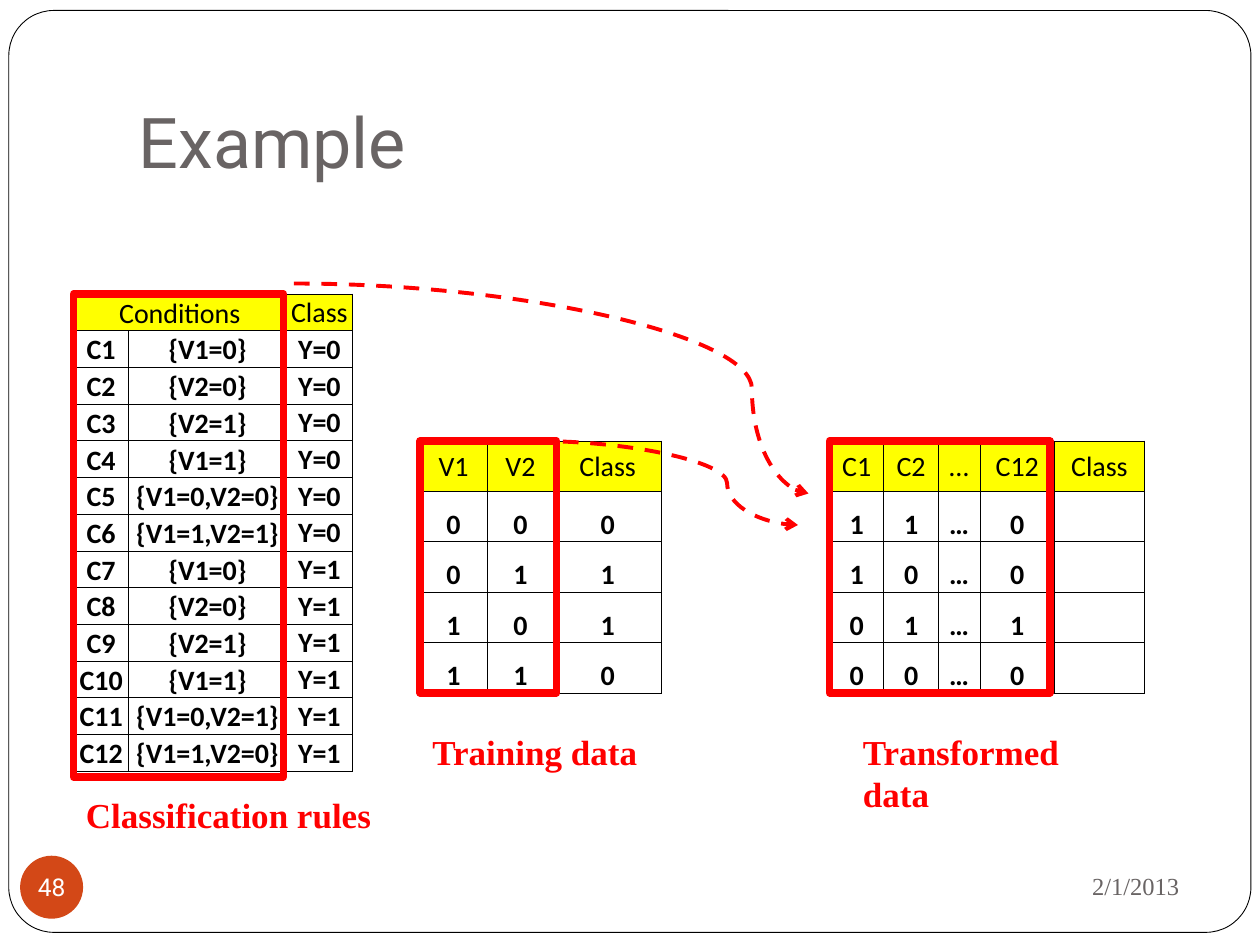
import pptx
import pptx.util
import pptx.dml.color
import pptx.enum.dml
import pptx.enum.shapes
import pptx.enum.text
import pptx.oxml
import pptx.oxml.ns
import lxml.etree

SHAPE = pptx.enum.shapes.MSO_SHAPE
ALIGN = pptx.enum.text.PP_ALIGN
ANCHOR = pptx.enum.text.MSO_ANCHOR
COLS, ROWS = 120, 90
RED, GREY, BLACK = "FF0000", "696464", "000000"
SERIF = "Times New Roman"

prs = pptx.Presentation()
prs.slide_width = pptx.util.Inches(10)
prs.slide_height = pptx.util.Inches(7.5)


def grid(*box):
    """Turn alternating columns and rows of the slide grid into lengths."""
    units = (prs.slide_width / COLS, prs.slide_height / ROWS)
    return [pptx.util.Emu(round(n * units[i % 2])) for i, n in enumerate(box)]


def rgb(color):
    """Return the colour for a hex string."""
    return pptx.dml.color.RGBColor.from_string(color)


def add_xml(parent, tag, **attrs):
    """Append a drawing element to a parent and return it."""
    return lxml.etree.SubElement(parent, pptx.oxml.ns.qn(tag), attrs)


def write(tf, text, size=16, font="Calibri", color=BLACK, bold=False,
          align=ALIGN.LEFT, anchor=None, insets=None):
    """Write one formatted paragraph into a text frame."""
    p = tf.paragraphs[0]
    p.alignment = align
    r = p.add_run()
    r.text = text
    r.font.size = pptx.util.Pt(size)
    r.font.name = font
    r.font.bold = bold
    r.font.color.rgb = rgb(color)
    if anchor is not None:
        tf.vertical_anchor = anchor
    if insets:
        tf.margin_left, tf.margin_top, tf.margin_right, tf.margin_bottom = (
            pptx.util.Inches(n) for n in insets)


def shape(s, kind, box, fill=None, line=None, width=0.5):
    """Add a flat preset shape."""
    sp = s.shapes.add_shape(kind, *grid(*box))
    sp.shadow.inherit = False
    if fill:
        sp.fill.solid()
        sp.fill.fore_color.rgb = rgb(fill)
    else:
        sp.fill.background()
    if line:
        sp.line.color.rgb = rgb(line)
        sp.line.width = pptx.util.Pt(width)
    else:
        sp.line.fill.background()
    return sp


def text_box(s, box, text, **fmt):
    """Add a wrapping text box."""
    tf = s.shapes.add_textbox(*grid(*box)).text_frame
    tf.word_wrap = True
    write(tf, text, **fmt)


def style_cell(cell, text, header, anchor):
    """Give a table cell its borders, fill and text."""
    tcPr = cell._tc.get_or_add_tcPr()
    for side in ("a:lnL", "a:lnR", "a:lnT", "a:lnB"):
        ln = add_xml(tcPr, side, w=str(pptx.util.Pt(0.5)))
        add_xml(add_xml(ln, "a:solidFill"), "a:srgbClr", val=BLACK)
    if header:
        cell.fill.solid()
        cell.fill.fore_color.rgb = rgb("FFFF00")
    else:
        cell.fill.background()
    cell.margin_left = cell.margin_top = cell.margin_right = pptx.util.Inches(0.01)
    cell.margin_bottom = 0
    cell.vertical_anchor = anchor
    if text:
        write(cell.text_frame, text, bold=not header, align=ALIGN.CENTER)


def data_table(s, box, widths, rows, middle=()):
    """Fill a box with a table; None in a row joins a cell to its left one."""
    left, top, width, height = grid(*box)
    gf = s.shapes.add_table(len(rows), len(widths), left, top, width, height)
    table = gf.table
    table.first_row = table.horz_banding = False
    for column, share in zip(table.columns, widths):
        column.width = round(width * share / sum(widths))
    for y, row in enumerate(rows):
        table.rows[y].height = round(height / len(rows))
        for x, text in enumerate(row):
            centred = x in middle or (y == 0 and None not in row)
            style_cell(table.cell(y, x), text, y == 0,
                       ANCHOR.MIDDLE if centred else ANCHOR.BOTTOM)
            if text is None:
                table.cell(y, x - 1).merge(table.cell(y, x))


def curve(s, ends, bend):
    """Add a dashed red curved arrow that turns at a share of its width."""
    c = s.shapes.add_connector(pptx.enum.shapes.MSO_CONNECTOR.CURVE, *grid(*ends))
    c.line.color.rgb = rgb(RED)
    c.line.width = pptx.util.Pt(2.25)
    c.line.dash_style = pptx.enum.dml.MSO_LINE.DASH
    spPr = c._element.spPr
    add_xml(spPr.find(pptx.oxml.ns.qn("a:ln")), "a:tailEnd", type="arrow")
    add_xml(spPr, "a:effectLst")
    geom = spPr.find(pptx.oxml.ns.qn("a:prstGeom"))
    for old in list(geom):
        geom.remove(old)
    add_xml(add_xml(geom, "a:avLst"), "a:gd", name="adj1",
            fmla=f"val {round(bend * 100000)}")


def page(s, title, date, number):
    """Place the page border, title, date and page number."""
    border = shape(s, SHAPE.ROUNDED_RECTANGLE, (0.84, 1, 118.3, 87.8), "FFFFFF", BLACK)
    border.adjustments[0] = 0.049
    s.shapes._spTree.insert(2, border._element)
    sp = s.shapes.title
    sp.left, sp.top, sp.width, sp.height = grid(12, 3.6, 102, 15)
    write(sp.text_frame, title, size=40, font="Roboto", color=GREY,
          anchor=ANCHOR.BOTTOM, insets=(0.1, 0.05, 0.1, 0.1))
    sp.text_frame.auto_size = pptx.enum.text.MSO_AUTO_SIZE.NONE
    text_box(s, (81, 81.25, 32.5, 6.25), date, size=14, font=SERIF, color=GREY,
             align=ALIGN.RIGHT, anchor=ANCHOR.MIDDLE)
    badge = shape(s, SHAPE.OVAL, (1.92, 81.5, 6, 6), "D34817")
    badge.text_frame.word_wrap = False
    write(badge.text_frame, number, size=14, font="Roboto", color="FFFFFF",
          align=ALIGN.CENTER, anchor=ANCHOR.MIDDLE, insets=(0, 0, 0, 0))


conditions = ["{V1=0}", "{V2=0}", "{V2=1}", "{V1=1}", "{V1=0,V2=0}", "{V1=1,V2=1}",
              "{V1=0}", "{V2=0}", "{V2=1}", "{V1=1}", "{V1=0,V2=1}", "{V1=1,V2=0}"]
rules = [("Conditions", None, "Class")] + [
    (f"C{i}", text, "Y=0" if i <= 6 else "Y=1")
    for i, text in enumerate(conditions, 1)]
training = [("V1", "V2", "Class"), *map(tuple, ("000", "011", "101", "110"))]
transformed = [("C1", "C2", "…", "C12", "Class")] + [
    (a, b, "…", c, "") for a, b, c in ("110", "100", "011", "000")]

s = prs.slides.add_slide(prs.slide_layouts[5])
page(s, "Example", "2/1/2013", "48")
data_table(s, (7, 28, 26.6, 45.5), (0.44, 1.25, 0.53), rules, middle=(2,))
data_table(s, (40, 42, 23, 24), (0.53, 0.53, 0.85), training)
data_table(s, (79, 42, 30, 24), (0.43, 0.43, 0.33, 0.59, 0.71), transformed)
curve(s, (28, 27, 77, 47), 0.89)
curve(s, (51, 42, 76, 50), 0.73)
for frame, caption, text in (
        ((7, 28, 20, 46), (7, 75, 30, 5.3), "Classification rules"),
        ((40, 42, 13, 24), (40, 69, 23, 5.3), "Training data"),
        ((79, 42, 21, 24), (81, 69, 28, 5.3), "Transformed data")):
    shape(s, SHAPE.RECTANGLE, frame, line=RED, width=4.25)
    text_box(s, caption, text, size=20, font=SERIF, color=RED, bold=True)

prs.save("out.pptx")
